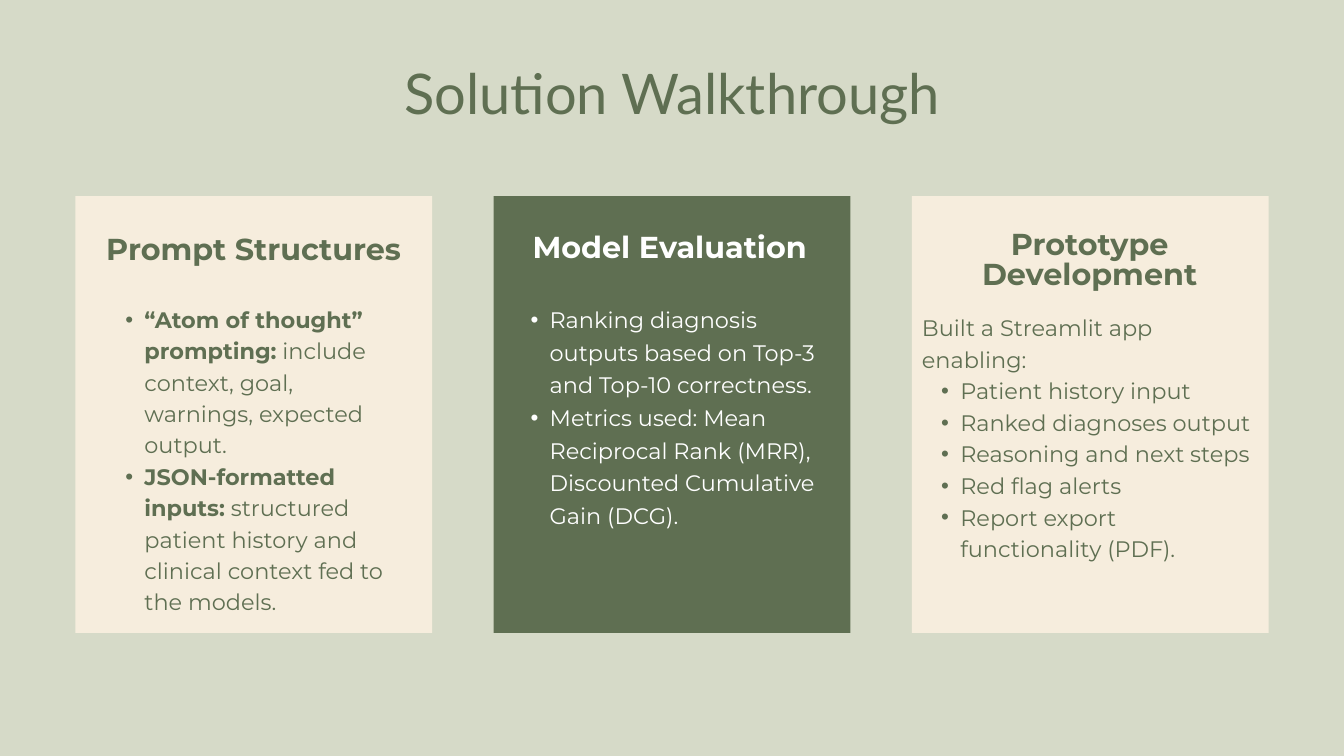
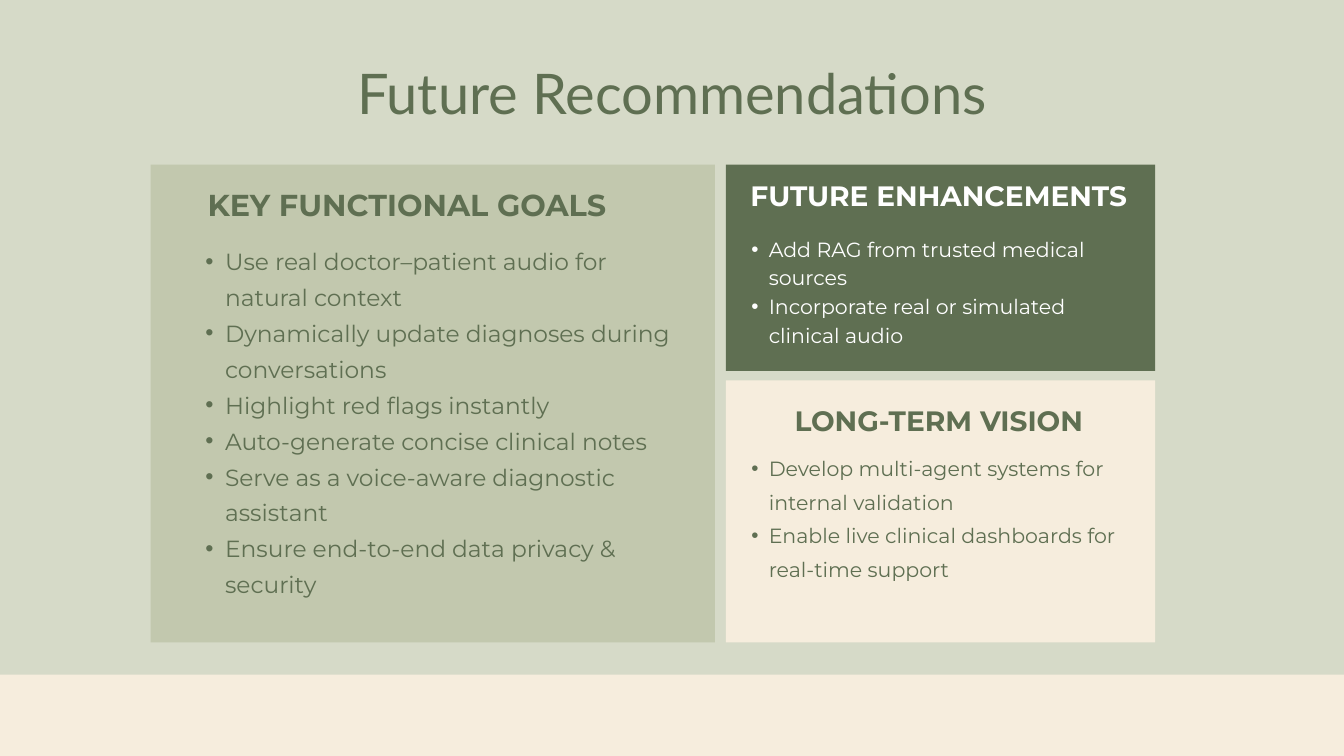
from dataclasses import dataclass

import lxml.etree
import pptx
import pptx.dml.color
import pptx.enum.shapes
import pptx.enum.text
import pptx.oxml.ns
import pptx.util

Inches = pptx.util.Inches
Align = pptx.enum.text.PP_ALIGN


@dataclass(frozen=True)
class Theme:
    """Colours, fonts and type sizes shared by the slides."""

    sage: str = "D6DAC8"
    moss: str = "C2C8AE"
    cream: str = "F6EDDD"
    green: str = "5F6F52"
    white: str = "FFFFFF"
    title_font: str = "Lato"
    text_font: str = "Montserrat"
    title_size: float = 60
    large_heading: float = 32.4
    heading: float = 30
    large_body: float = 25
    body: float = 24
    small_body: float = 22


@dataclass(frozen=True)
class Line:
    """One paragraph with an optional bold lead."""

    text: str
    lead: str = ""
    bullet: bool = True


THEME = Theme()
SLIDE_WIDTH, SLIDE_HEIGHT = 20, 11.25
CARD_LEFT, CARD_TOP, CARD_WIDTH, CARD_HEIGHT = 1.12, 2.92, 5.31, 6.5
CARD_STEP = (SLIDE_WIDTH - 2 * CARD_LEFT - CARD_WIDTH) / 2
GOALS_LEFT, GOALS_WIDTH = 2.24, 8.4
PLANS_LEFT, PLANS_WIDTH, PLANS_TEXT_LEFT, PLANS_TEXT_WIDTH = 10.8, 6.39, 10.92, 6.1
PANELS_TOP, PANELS_BOTTOM = 2.45, 9.56
ENHANCEMENTS_HEIGHT, VISION_HEIGHT = 3.07, 3.9


def rgb(colour):
    """Turn a hex string into a colour."""
    return pptx.dml.color.RGBColor.from_string(colour)


def place(shape, left, top, width, height):
    """Move and size a shape in inches."""
    shape.left, shape.top = Inches(left), Inches(top)
    shape.width, shape.height = Inches(width), Inches(height)


def clear_margins(frame):
    """Wrap text from the top edge without insets."""
    frame.word_wrap = True
    frame.auto_size = pptx.enum.text.MSO_AUTO_SIZE.NONE
    frame.vertical_anchor = pptx.enum.text.MSO_ANCHOR.TOP
    frame.margin_left = frame.margin_right = 0
    frame.margin_top = frame.margin_bottom = 0


def style_span(span, font, size, colour, bold=False):
    """Set the look of one run."""
    span.font.name = font
    span.font.size = pptx.util.Pt(size)
    span.font.bold = bold
    span.font.color.rgb = rgb(colour)


def add_bullet(para, indent):
    """Give a paragraph a hanging round bullet."""
    para.level = 1
    properties = para._p.get_or_add_pPr()
    properties.set("marL", str(Inches(indent)))
    properties.set("indent", str(-Inches(indent / 2)))
    for tag, name, value in (("a:buFont", "typeface", "Arial"), ("a:buChar", "char", "•")):
        mark = lxml.etree.SubElement(properties, pptx.oxml.ns.qn(tag))
        mark.set(name, value)


def add_page(deck, title, background):
    """Add a title-only slide with its background and title."""
    page = deck.slides.add_slide(deck.slide_layouts[5])
    page.background.fill.solid()
    page.background.fill.fore_color.rgb = rgb(background)
    box = page.shapes.title
    place(box, 1.49, 0.86, 17.02, 1)
    box.text_frame.text = title
    clear_margins(box.text_frame)
    para = box.text_frame.paragraphs[0]
    para.alignment = Align.CENTER
    para.line_spacing = pptx.util.Pt(72.6)
    style_span(para.runs[0], THEME.title_font, THEME.title_size, THEME.green)
    return page


def add_panel(page, left, top, width, height, colour):
    """Add a plain filled rectangle."""
    panel = page.shapes.add_shape(
        pptx.enum.shapes.MSO_SHAPE.RECTANGLE,
        Inches(left), Inches(top), Inches(width), Inches(height))
    panel.shadow.inherit = False
    panel.fill.solid()
    panel.fill.fore_color.rgb = rgb(colour)
    panel.line.fill.background()
    return panel


def add_backdrop(page, height, colour):
    """Add a full-width band behind everything else."""
    band = add_panel(page, 0, 0, SLIDE_WIDTH, height, colour)
    page.shapes._spTree.insert(2, band._element)


def add_text_box(page, left, top, width, height):
    """Add a wrapping text box and return its frame."""
    box = page.shapes.add_textbox(Inches(left), Inches(top), Inches(width), Inches(height))
    clear_margins(box.text_frame)
    return box.text_frame


def add_heading(page, text, area, size, colour, spacing):
    """Add a centred bold panel heading."""
    frame = add_text_box(page, *area)
    frame.text = text
    para = frame.paragraphs[0]
    para.alignment = Align.CENTER
    para.line_spacing = pptx.util.Pt(spacing)
    style_span(para.runs[0], THEME.text_font, size, colour, True)


def add_body(page, lines, area, size, colour, spacing, indent):
    """Add body paragraphs with bullets and bold leads."""
    frame = add_text_box(page, *area)
    for index, line in enumerate(lines):
        para = frame.add_paragraph() if index else frame.paragraphs[0]
        para.alignment = Align.LEFT
        para.line_spacing = pptx.util.Pt(spacing)
        if line.bullet:
            add_bullet(para, indent)
        para.text = line.lead or line.text
        style_span(para.runs[0], THEME.text_font, size, colour, bool(line.lead))
        if line.lead:
            span = para.add_run()
            span.text = line.text
            style_span(span, THEME.text_font, size, colour)


def build_walkthrough(deck):
    """Build the slide with three equal cards."""
    page = add_page(deck, "Solution Walkthrough", THEME.sage)
    prompts = [
        Line(" include context, goal, warnings, expected output.",
             "“Atom of thought” prompting:"),
        Line(" structured patient history and clinical context fed to the models.",
             "JSON-formatted inputs:"),
    ]
    evaluation = [
        Line("Ranking diagnosis outputs based on Top-3 and Top-10 correctness."),
        Line("Metrics used: Mean Reciprocal Rank (MRR), Discounted Cumulative Gain (DCG)."),
    ]
    prototype = [
        Line("Built a Streamlit app enabling:", bullet=False),
        Line("Patient history input"),
        Line("Ranked diagnoses output"),
        Line("Reasoning and next steps"),
        Line("Red flag alerts"),
        Line("Report export functionality (PDF)."),
    ]
    cards = [
        ("Prompt Structures", (1.51, 3.34, 4.53, 0.61), 45.3,
         prompts, (1.58, 4.49, 4.37, 5.03), 33.6, THEME.cream, THEME.green),
        ("Model Evaluation", (7.7, 3.31, 4.53, 0.61), 45.3,
         evaluation, (7.61, 4.47, 4.84, 3.81), 35, THEME.green, THEME.white),
        ("Prototype Development", (13.95, 3.44, 4.53, 0.92), 32.4,
         prototype, (13.72, 4.61, 5, 3.73), 33.8, THEME.cream, THEME.green),
    ]
    for index, card in enumerate(cards):
        heading, heading_area, heading_spacing, lines, body_area, spacing, fill, ink = card
        add_panel(page, CARD_LEFT + index * CARD_STEP, CARD_TOP, CARD_WIDTH, CARD_HEIGHT, fill)
        add_heading(page, heading, heading_area, THEME.large_heading, ink, heading_spacing)
        add_body(page, lines, body_area, THEME.body, ink, spacing, 0.57)


def build_recommendations(deck):
    """Build the slide with goals beside two plan panels."""
    page = add_page(deck, "Future Recommendations", THEME.cream)
    add_backdrop(page, 10.04, THEME.sage)

    goals = [
        Line("Use real doctor–patient audio for natural context"),
        Line("Dynamically update diagnoses during conversations"),
        Line("Highlight red flags instantly"),
        Line("Auto-generate concise clinical notes"),
        Line("Serve as a voice-aware diagnostic assistant"),
        Line("Ensure end-to-end data privacy & security"),
    ]
    add_panel(page, GOALS_LEFT, PANELS_TOP, GOALS_WIDTH, PANELS_BOTTOM - PANELS_TOP, THEME.moss)
    add_heading(page, "KEY FUNCTIONAL GOALS", (2.44, 2.69, 7.23, 0.61),
                THEME.large_heading, THEME.green, 45.3)
    add_body(page, goals, (2.76, 3.56, 7.24, 5.83), THEME.large_body, THEME.green, 38.5, 0.59)

    enhancements = [
        Line("Add RAG from trusted medical sources"),
        Line("Incorporate real or simulated clinical audio"),
    ]
    vision = [
        Line("Develop multi-agent systems for internal validation"),
        Line("Enable live clinical dashboards for real-time support"),
    ]
    plans = [
        ("FUTURE ENHANCEMENTS", 2.58, enhancements, (3.46, 5.87, 2.12), 30.8,
         PANELS_TOP, ENHANCEMENTS_HEIGHT, THEME.green, THEME.white),
        ("LONG-TERM VISION", 5.92, vision, (6.66, PLANS_TEXT_WIDTH, 2.41), 35.9,
         PANELS_BOTTOM - VISION_HEIGHT, VISION_HEIGHT, THEME.cream, THEME.green),
    ]
    for heading, heading_top, lines, body_area, spacing, top, height, fill, ink in plans:
        add_panel(page, PLANS_LEFT, top, PLANS_WIDTH, height, fill)
        add_heading(page, heading, (PLANS_TEXT_LEFT, heading_top, PLANS_TEXT_WIDTH, 0.57),
                    THEME.heading, ink, 42)
        add_body(page, lines, (PLANS_TEXT_LEFT, *body_area), THEME.small_body, ink, spacing, 0.52)


def main():
    """Build and save the deck."""
    deck = pptx.Presentation()
    deck.slide_width, deck.slide_height = Inches(SLIDE_WIDTH), Inches(SLIDE_HEIGHT)
    build_walkthrough(deck)
    build_recommendations(deck)
    deck.save("out.pptx")


if __name__ == "__main__":
    main()
